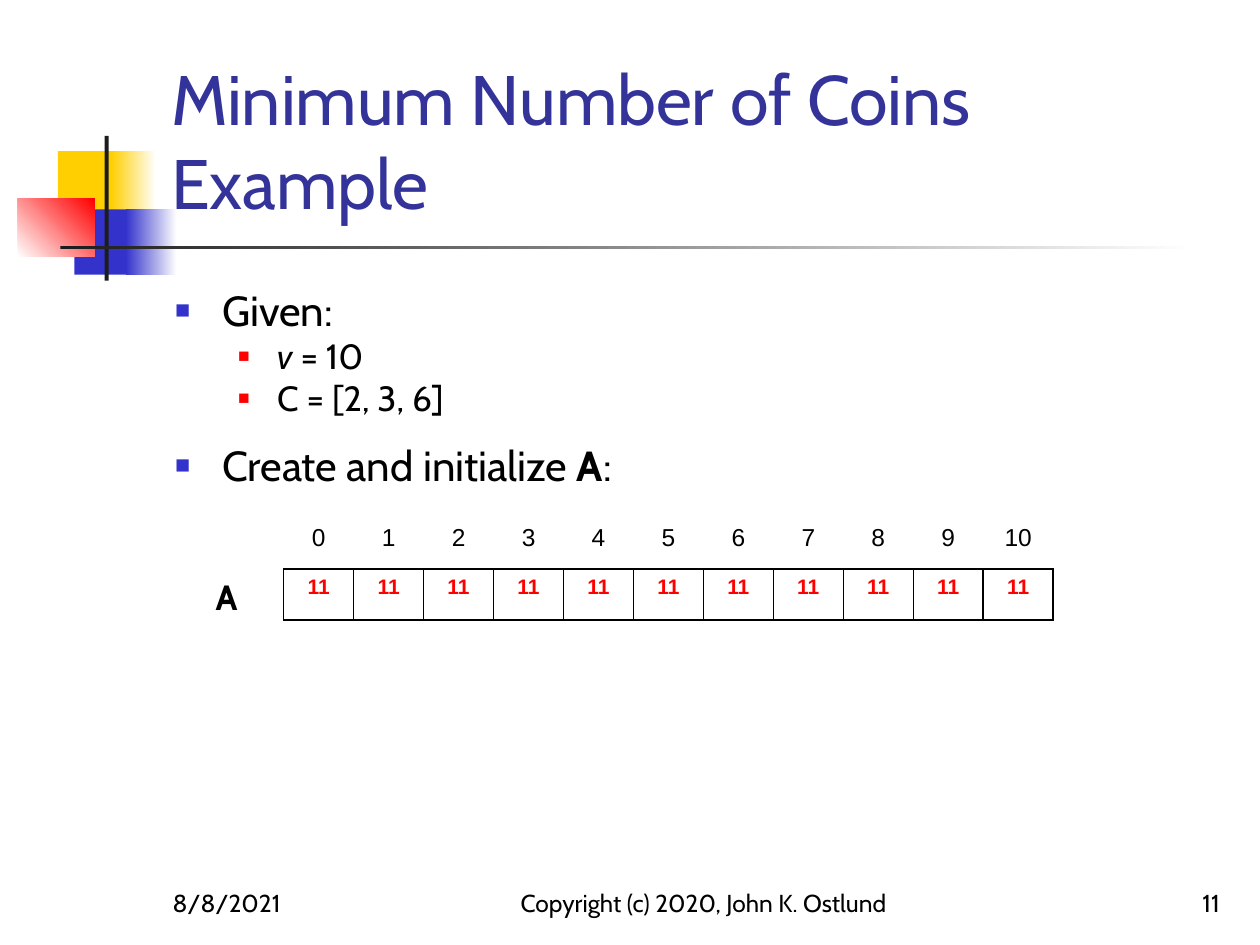
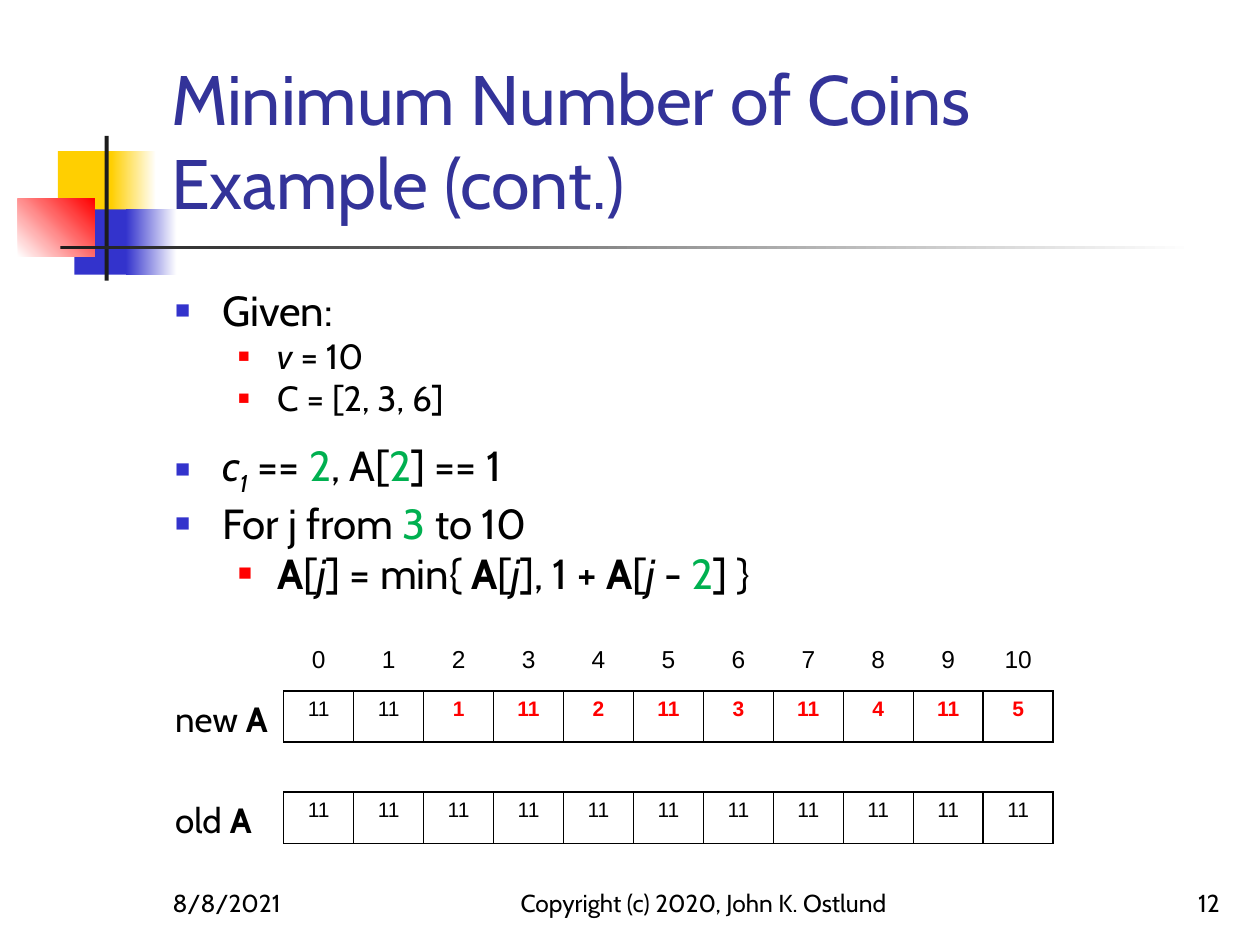
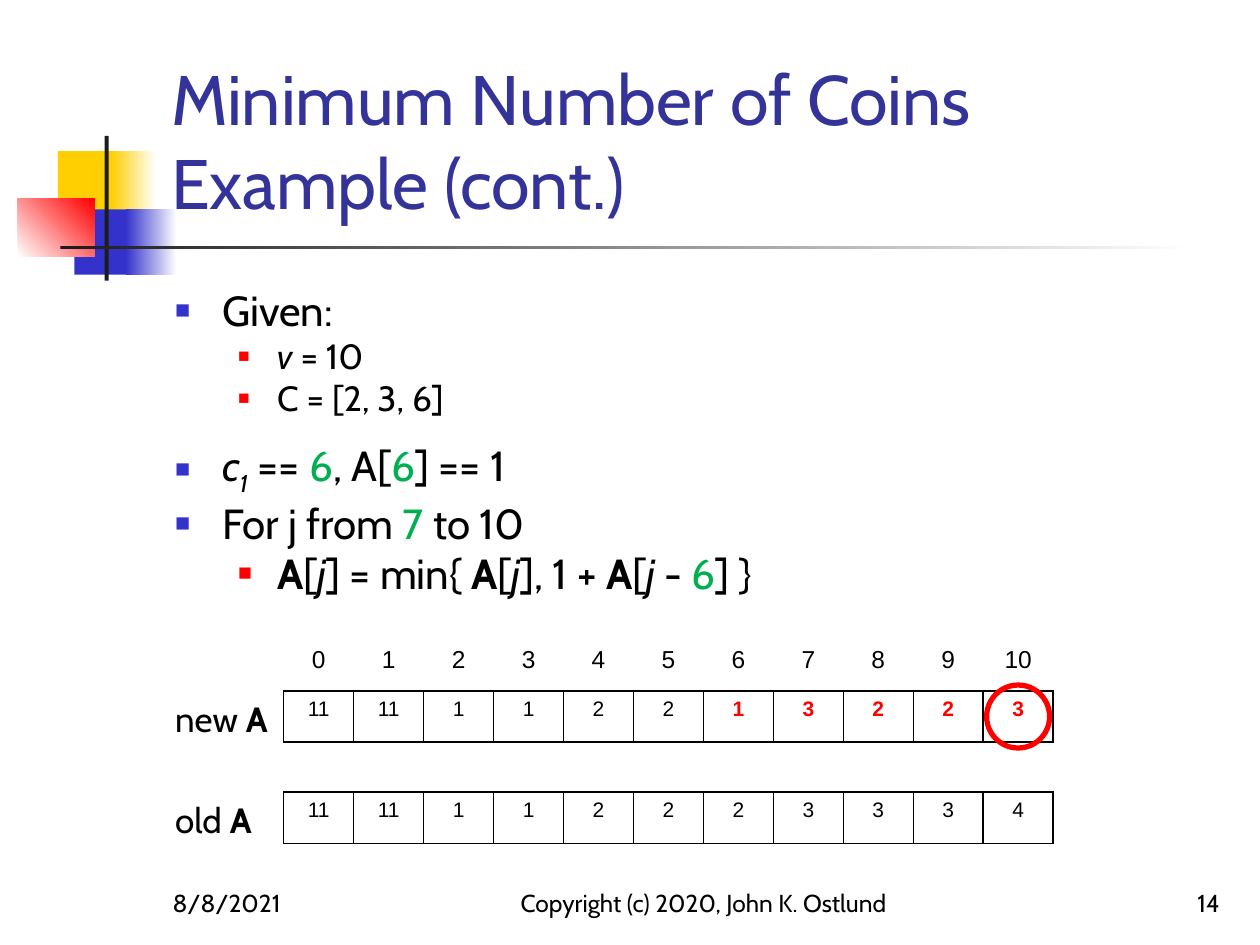
from lxml.etree import SubElement
from pptx import Presentation
from pptx.dml.color import RGBColor
from pptx.enum.shapes import MSO_SHAPE
from pptx.enum.text import MSO_ANCHOR, PP_ALIGN
from pptx.oxml.ns import qn
from pptx.util import Cm, Pt

BLACK = RGBColor(0x00, 0x00, 0x00)
WHITE = RGBColor(0xFF, 0xFF, 0xFF)
RED = RGBColor(0xFF, 0x00, 0x00)
GREEN = RGBColor(0x00, 0xB0, 0x50)
BLUE = RGBColor(0x33, 0x33, 0xCC)
NAVY = RGBColor(0x33, 0x33, 0x99)
YELLOW = RGBColor(0xFF, 0xCF, 0x01)
CHARCOAL = RGBColor(0x1C, 0x1C, 0x1C)
TEXT_FONT = "Cabin"
TABLE_FONT = "Arial"

DECORATION = [
    ((1.17, 3.05, 1.22, 1.32), (YELLOW,), 0),
    ((2.24, 3.05, 0.91, 1.32), (YELLOW, WHITE), 0),
    ((1.5, 4.22, 1.17, 1.32), (BLUE,), 0),
    ((2.54, 4.22, 1.02, 1.32), (BLUE, WHITE), 0),
    ((0.36, 4.01, 1.55, 1.17), (WHITE, RED), 45),
    ((2.11, 2.74, 0.08, 2.92), (CHARCOAL,), 0),
    ((1.22, 4.95, 22.86, 0.08), (CHARCOAL, WHITE), 0),
]
TITLE_AREA = (3.2, 0.58, 21.64, 4.06)
BODY_AREA = (3.28, 5.61, 21.59, 11.43)
DATE_AREA = (3.23, 17.35, 5.28, 1.27)
COPYRIGHT_AREA = (10.16, 17.35, 8.05, 1.27)
NUMBER_AREA = (19.56, 17.35, 5.28, 1.27)
DATE = "8/8/2021"
COPYRIGHT = "Copyright (c) 2020, John K. Ostlund"

BULLETS = [
    {"margin": 0.95, "hanging": 0.95, "color": BLUE, "percent": 60},
    {"margin": 2.06, "hanging": 0.79, "color": RED, "percent": 55},
]

TABLE_LEFT = 5.72
COLUMN_WIDTH = 1.41
ROW_HEIGHT = 1.03
LABEL_LEFT = 3.28
INDICES = list(range(11))
NO_INDICES = [""] * len(INDICES)
NO_HIGHLIGHT = len(INDICES)
CIRCLE_SIZE = 1.27

GIVEN = [
    (0, 24, 0, [("Given:", "")]),
    (1, 20, 0, [("v ", "i"), ("= 10", "")]),
    (1, 20, 0, [("C = [2, 3, 6]", "")]),
]
INITIALIZE = [
    (0, 24, 12, [("Create and initialize ", ""), ("A", "b"), (":", "")]),
]


def coin_step(coin):
    a_of_j = [("A", "b"), ("[", ""), ("j", "i")]
    return [
        (0, 24, 12, [("c", "i"), ("1", "is"), (" == ", ""), (str(coin), "g"),
                     (", A[", ""), (str(coin), "g"), ("] == 1", "")]),
        (0, 24, 0, [("For j from ", ""), (str(coin + 1), "g"), (" to 10", "")]),
        (1, 24, 0, [*a_of_j, ("] = min{ ", ""), *a_of_j, ("], 1 + ", ""), *a_of_j,
                    (" - ", ""), (str(coin), "g"), ("] }", "")]),
    ]


def array(top, values, label, label_left=LABEL_LEFT, header=INDICES, red_from=NO_HIGHLIGHT):
    return {"top": top, "values": values, "label": label, "label_left": label_left,
            "header": header, "red_from": red_from}


def before_and_after(new_values, old_values, red_from):
    return [
        array(12.9, new_values, [("new ", ""), ("A", "b")], red_from=red_from),
        array(14.94, old_values, [("old ", ""), ("A", "b")], header=NO_INDICES),
    ]


SLIDES = [
    {"title": "Minimum Number of Coins Example", "number": 11, "circled": False,
     "body": GIVEN + INITIALIZE,
     "arrays": [array(10.44, [11] * 11, [("A", "b")], label_left=4.1, red_from=0)]},
    {"title": "Minimum Number of Coins Example (cont.)", "number": 12, "circled": False,
     "body": GIVEN + coin_step(2),
     "arrays": before_and_after([11, 11, 1, 11, 2, 11, 3, 11, 4, 11, 5], [11] * 11, 2)},
    {"title": "Minimum Number of Coins Example (cont.)", "number": 14, "circled": True,
     "body": GIVEN + coin_step(6),
     "arrays": before_and_after([11, 11, 1, 1, 2, 2, 1, 3, 2, 2, 3],
                                [11, 11, 1, 1, 2, 2, 2, 3, 3, 3, 4], 6)},
]


def cm(area):
    return [Cm(length) for length in area]


def style(font, size, color=BLACK, name=TEXT_FONT, bold=False):
    font.name, font.size, font.bold = name, Pt(size), bold
    font.color.rgb = color


def add_frame(slide, area, anchor=MSO_ANCHOR.TOP):
    frame = slide.shapes.add_textbox(*cm(area)).text_frame
    frame.word_wrap = True
    frame.vertical_anchor = anchor
    return frame


def add_line(slide, area, text, size, color=BLACK, align=PP_ALIGN.LEFT):
    frame = add_frame(slide, area, MSO_ANCHOR.BOTTOM)
    frame.text = text
    frame.paragraphs[0].alignment = align
    style(frame.paragraphs[0].runs[0].font, size, color)


def add_runs(paragraph, runs, size):
    for text, marks in runs:
        run = paragraph.add_run()
        run.text = text
        style(run.font, size, GREEN if "g" in marks else BLACK, bold="b" in marks)
        run.font.italic = "i" in marks
        if "s" in marks:
            run.font._element.set("baseline", "-25000")


def add_bullet(paragraph, level):
    bullet = BULLETS[level]
    properties = paragraph._p.get_or_add_pPr()
    properties.set("marL", str(Cm(bullet["margin"])))
    properties.set("indent", str(-Cm(bullet["hanging"])))
    color = SubElement(properties, qn("a:buClr"))
    SubElement(color, qn("a:srgbClr"), val=str(bullet["color"]))
    SubElement(properties, qn("a:buSzPct"), val=str(bullet["percent"] * 1000))
    SubElement(properties, qn("a:buFont"), typeface=TABLE_FONT)
    SubElement(properties, qn("a:buChar"), char="■")


def add_decoration(slide):
    for area, colors, angle in DECORATION:
        block = slide.shapes.add_shape(MSO_SHAPE.RECTANGLE, *cm(area))
        block.shadow.inherit = False
        block.line.fill.background()
        if len(colors) == 1:
            block.fill.solid()
            block.fill.fore_color.rgb = colors[0]
        else:
            block.fill.gradient()
            block.fill.gradient_angle = angle
            for stop, color in zip(block.fill.gradient_stops, colors):
                stop.color.rgb = color


def add_body(slide, lines):
    frame = add_frame(slide, BODY_AREA)
    for position, (level, size, space, runs) in enumerate(lines):
        paragraph = frame.paragraphs[0] if position == 0 else frame.add_paragraph()
        paragraph.level = level
        paragraph.space_before = Pt(space)
        add_bullet(paragraph, level)
        add_runs(paragraph, runs, size)


def set_borders(cell, drawn):
    properties = cell._tc.get_or_add_tcPr()
    for side in "LRTB":
        border = SubElement(properties, qn(f"a:ln{side}"), w=str(Pt(1)))
        if side in drawn:
            fill = SubElement(border, qn("a:solidFill"))
            SubElement(fill, qn("a:srgbClr"), val=str(BLACK))
        else:
            SubElement(border, qn("a:noFill"))


def fill_cell(cell, value, size, borders, red=False):
    cell.text = str(value)
    paragraph = cell.text_frame.paragraphs[0]
    paragraph.alignment = PP_ALIGN.CENTER
    style(paragraph.font, size, RED if red else BLACK, TABLE_FONT, red)
    for run in paragraph.runs:
        style(run.font, size, RED if red else BLACK, TABLE_FONT, red)
    set_borders(cell, borders)
    cell.fill.background()


def add_array(slide, content):
    area = (TABLE_LEFT, content["top"], COLUMN_WIDTH * len(INDICES), 2 * ROW_HEIGHT)
    table = slide.shapes.add_table(2, len(INDICES), *cm(area)).table
    table.first_row = table.horz_banding = False
    for row in table.rows:
        row.height = Cm(ROW_HEIGHT)
    for index, (heading, value) in enumerate(zip(content["header"], content["values"])):
        table.columns[index].width = Cm(COLUMN_WIDTH)
        fill_cell(table.cell(0, index), heading, 14, "B")
        fill_cell(table.cell(1, index), value, 12, "LRTB", index >= content["red_from"])
    label = add_frame(slide, (content["label_left"], content["top"] + ROW_HEIGHT, 2.4, ROW_HEIGHT))
    add_runs(label.paragraphs[0], content["label"], 20)


def circle_answer(slide, content):
    center_x = TABLE_LEFT + COLUMN_WIDTH * (len(INDICES) - 0.5)
    center_y = content["top"] + 1.5 * ROW_HEIGHT
    circle = slide.shapes.add_shape(
        MSO_SHAPE.OVAL, Cm(center_x - CIRCLE_SIZE / 2), Cm(center_y - CIRCLE_SIZE / 2),
        Cm(CIRCLE_SIZE), Cm(CIRCLE_SIZE))
    circle.shadow.inherit = False
    circle.fill.background()
    circle.line.color.rgb = RED
    circle.line.width = Pt(3)


def main():
    deck = Presentation()
    deck.slide_width, deck.slide_height = Cm(25.4), Cm(19.05)
    for content in SLIDES:
        slide = deck.slides.add_slide(deck.slide_layouts[6])
        add_decoration(slide)
        add_line(slide, TITLE_AREA, content["title"], 40, NAVY)
        add_body(slide, content["body"])
        add_line(slide, DATE_AREA, DATE, 14)
        add_line(slide, COPYRIGHT_AREA, COPYRIGHT, 14, align=PP_ALIGN.CENTER)
        add_line(slide, NUMBER_AREA, str(content["number"]), 14, align=PP_ALIGN.RIGHT)
        for values in content["arrays"]:
            add_array(slide, values)
        if content["circled"]:
            circle_answer(slide, content["arrays"][0])
    deck.save("out.pptx")


if __name__ == "__main__":
    main()
